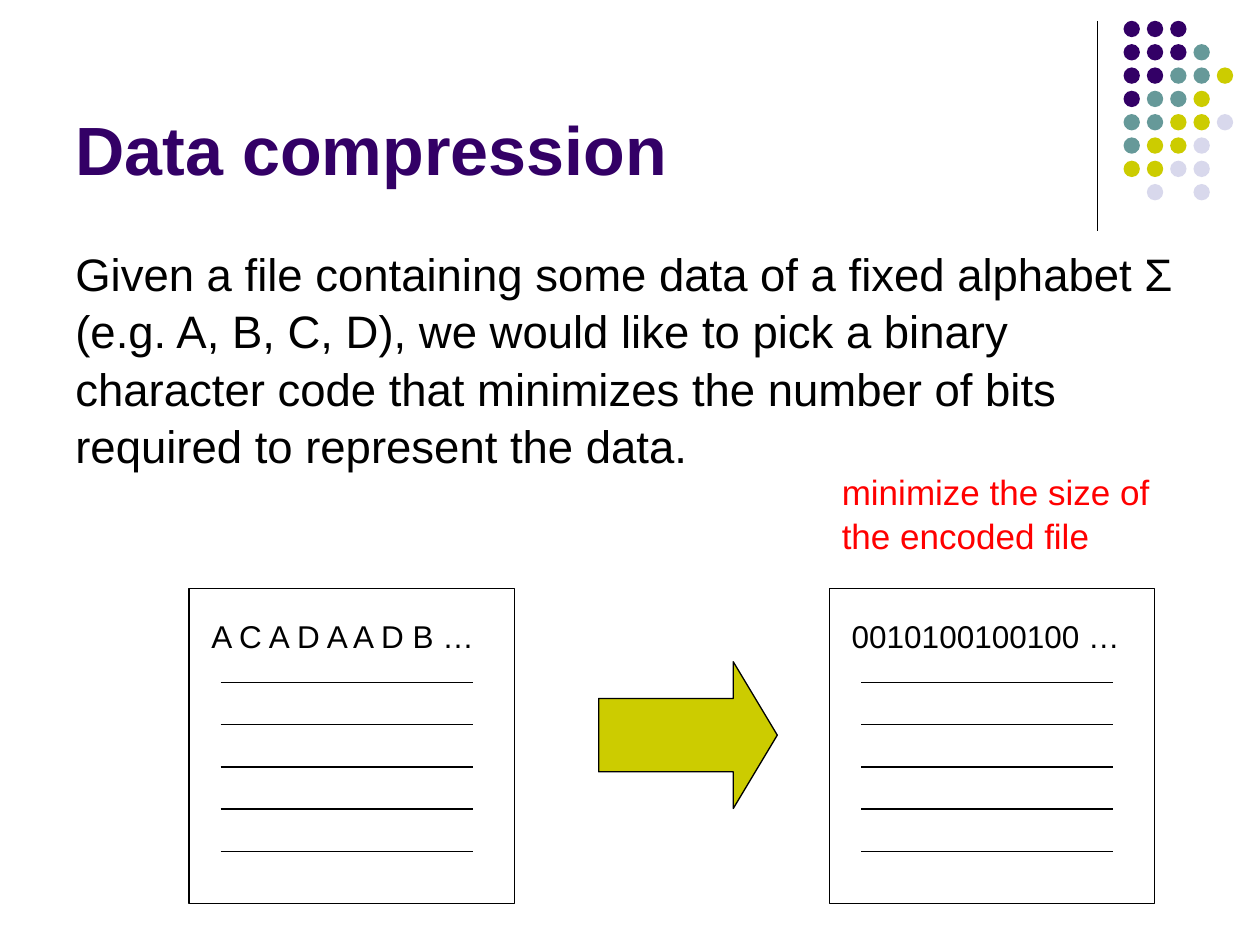
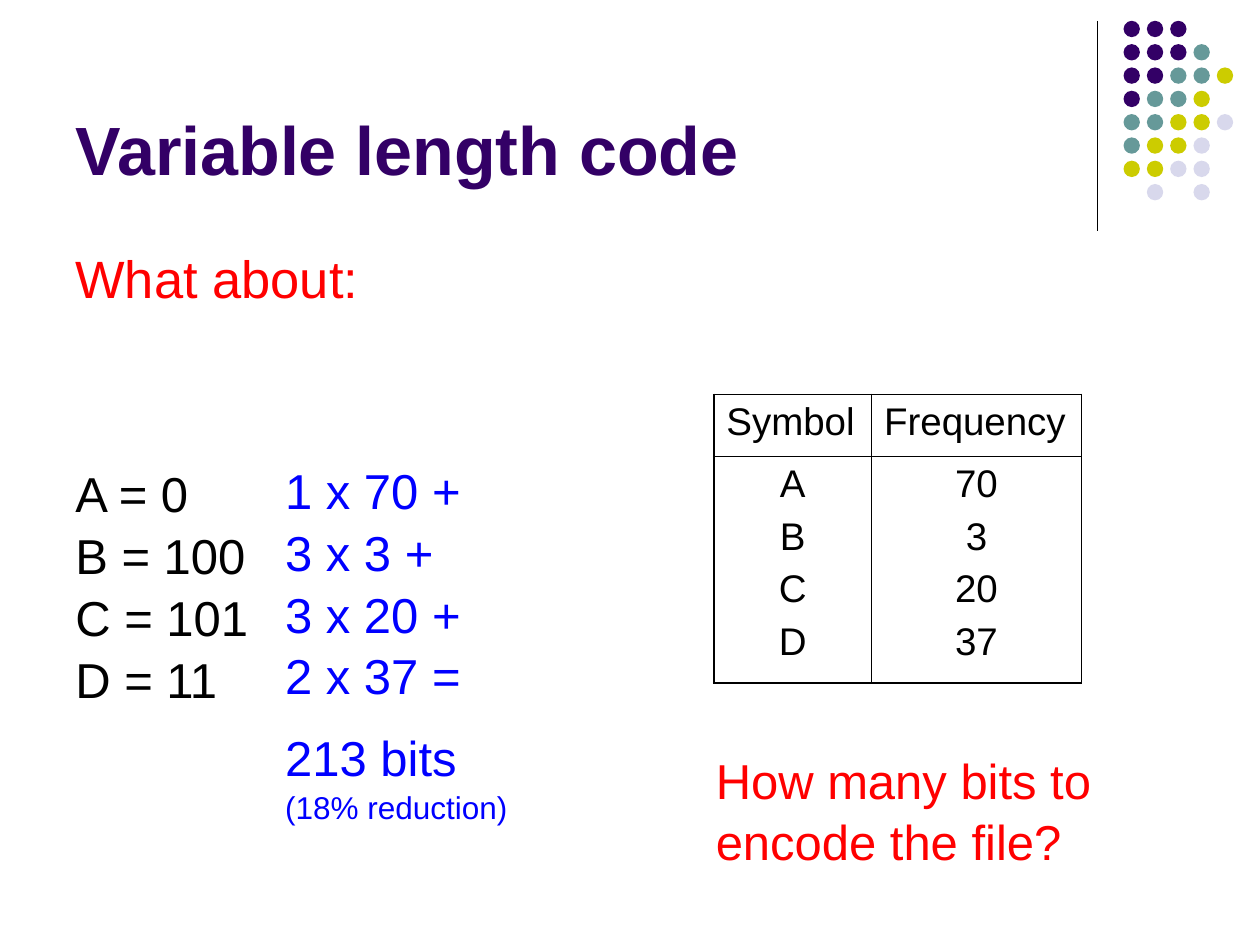
from lxml import etree
from pptx import Presentation
from pptx.dml.color import RGBColor
from pptx.enum.shapes import MSO_CONNECTOR, MSO_SHAPE
from pptx.enum.text import MSO_ANCHOR, PP_ALIGN
from pptx.oxml.ns import qn
from pptx.util import Cm, Pt

LEFT, CENTER = PP_ALIGN.LEFT, PP_ALIGN.CENTER
TOP, BOTTOM = MSO_ANCHOR.TOP, MSO_ANCHOR.BOTTOM
OVAL, RECT, ARROW = MSO_SHAPE.OVAL, MSO_SHAPE.RECTANGLE, MSO_SHAPE.RIGHT_ARROW
STRAIGHT = MSO_CONNECTOR.STRAIGHT

FONT = "Arial"
BLACK, RED, BLUE = "000000", "FF0000", "0000FF"
PURPLE, TEAL, OLIVE, LILAC = "330066", "669999", "CCCC00", "D8D8EC"

DOT_COLORS = {"P": PURPLE, "T": TEAL, "O": OLIVE, "L": LILAC}
DOT_ROWS = ["PPP", "PPPT", "PPTTO", "PTTO", "TTOOL", "TOOL", "OOLL", " L L"]
DOT_LEFT, DOT_TOP, DOT_PITCH, DOT_SIZE = 22.65, 0.42, 0.47, 0.33

PROBLEM = ("Given a file containing some data of a fixed alphabet Σ (e.g. A, B, C, D), "
           "we would like to pick a binary character code that minimizes the number "
           "of bits required to represent the data.")
GOAL = "minimize the size of the encoded file"
FILES = [(3.81, "A C A D A A D B …"), (16.72, "0010100100100 …")]
FILE_TOP, FILE_LINES, LINE_STEP = 11.86, 5, 0.85

CODES = ["A = 0", "B = 100", "C = 101", "D = 11"]
COSTS = ["1 x 70 +", "3 x 3 +", "3 x 20 +", "2 x 37 ="]
TOTAL, SAVING = "213 bits", "(18% reduction)"
FREQUENCIES = [
    [["Symbol"], ["Frequency"]],
    [["A", "B", "C", "D"], ["70", "3", "20", "37"]],
]
COLUMN_WIDTHS, ROW_HEIGHTS = [3.18, 4.23], [1.25, 4.57]
OUTER, INNER = 1.08, 0.45


def rgb(color):
    return RGBColor.from_string(color)


def write(tf, lines, size, color=BLACK, bold=False, align=LEFT, gap=0, spacing=1.05):
    started = bool(tf.text)
    for i, line in enumerate(lines):
        first = i == 0 and not started
        p = tf.paragraphs[0] if first else tf.add_paragraph()
        p.alignment = align
        p.line_spacing = spacing
        p.space_before = Pt(0 if first else gap)
        r = p.add_run()
        r.text = line
        r.font.name, r.font.size, r.font.bold = FONT, Pt(size), bold
        r.font.color.rgb = rgb(color)


def add_text(shapes, box, lines, size, anchor=TOP, **fmt):
    tf = shapes.add_textbox(*map(Cm, box)).text_frame
    tf.word_wrap = True
    tf.vertical_anchor = anchor
    write(tf, lines, size, **fmt)
    return tf


def add_shape(shapes, kind, box, fill=None, line=None):
    sp = shapes.add_shape(kind, *map(Cm, box))
    sp.shadow.inherit = False
    if fill:
        sp.fill.solid()
        sp.fill.fore_color.rgb = rgb(fill)
    else:
        sp.fill.background()
    if line:
        sp.line.color.rgb = rgb(line)
        sp.line.width = Pt(0.75)
    else:
        sp.line.fill.background()
    return sp


def add_line(shapes, x1, y1, x2, y2):
    c = shapes.add_connector(STRAIGHT, Cm(x1), Cm(y1), Cm(x2), Cm(y2))
    c.line.color.rgb = rgb(BLACK)
    c.line.width = Pt(0.75)
    etree.SubElement(c._element.spPr, qn("a:effectLst"))


def add_slide(prs, title):
    s = prs.slides.add_slide(prs.slide_layouts[6])
    add_line(s.shapes, 22.12, 0.42, 22.12, 4.66)
    dots = s.shapes.add_group_shape().shapes
    for row, keys in enumerate(DOT_ROWS):
        for col, key in enumerate(keys):
            if key in DOT_COLORS:
                x, y = DOT_LEFT + col * DOT_PITCH, DOT_TOP + row * DOT_PITCH
                add_shape(dots, OVAL, (x, y, DOT_SIZE, DOT_SIZE), DOT_COLORS[key])
    add_text(s.shapes, (1.27, 0.33, 20.96, 3.6), [title], 39,
             anchor=BOTTOM, color=PURPLE, bold=True, spacing=1)
    return s


def add_file(s, left, content):
    group = s.shapes.add_group_shape().shapes
    add_text(group, (left + 0.2, FILE_TOP + 0.42, 7.42, 1.02), [content], 18)
    add_shape(group, RECT, (left, FILE_TOP, 6.56, 6.35), line=BLACK)
    for i in range(FILE_LINES):
        y = FILE_TOP + 1.9 + i * LINE_STEP
        add_line(group, left + 0.64, y, left + 5.72, y)


def set_borders(cell, widths):
    tc_pr = cell._tc.get_or_add_tcPr()
    for i, (side, width) in enumerate(zip("LRTB", widths)):
        ln = etree.Element(qn(f"a:ln{side}"), w=str(Pt(width)))
        fill = etree.SubElement(ln, qn("a:solidFill"))
        etree.SubElement(fill, qn("a:srgbClr"), val=BLACK)
        tc_pr.insert(i, ln)


def add_frequency_table(s, left, top):
    rows, cols = len(ROW_HEIGHTS), len(COLUMN_WIDTHS)
    box = (left, top, sum(COLUMN_WIDTHS), sum(ROW_HEIGHTS))
    table = s.shapes.add_table(rows, cols, *map(Cm, box)).table
    table.first_row = table.horz_banding = False
    for column, width in zip(table.columns, COLUMN_WIDTHS):
        column.width = Cm(width)
    for row, height in zip(table.rows, ROW_HEIGHTS):
        row.height = Cm(height)
    for r, entries in enumerate(FREQUENCIES):
        for c, lines in enumerate(entries):
            cell = table.cell(r, c)
            cell.fill.background()
            edges = (c == 0, c == cols - 1, r == 0, r == rows - 1)
            set_borders(cell, [OUTER if edge else INNER for edge in edges])
            write(cell.text_frame, lines, 22, align=CENTER if r else LEFT,
                  gap=5.5, spacing=1)


def build_compression(prs):
    s = add_slide(prs, "Data compression")
    add_text(s.shapes, (1.27, 4.78, 22.86, 4.95), [PROBLEM], 26)
    for left, content in FILES:
        add_file(s, left, content)
    arrow = add_shape(s.shapes, ARROW, (12.07, 13.34, 3.6, 2.96), OLIVE, BLACK)
    arrow.adjustments[0], arrow.adjustments[1] = 0.5, 0.3
    add_text(s.shapes, (16.72, 9.31, 6.77, 1.96), [GOAL], 20, color=RED)


def build_variable_length(prs):
    s = add_slide(prs, "Variable length code")
    add_text(s.shapes, (1.27, 4.78, 22.86, 1.78), ["What about:"], 30, color=RED)
    add_text(s.shapes, (1.27, 9.17, 5.29, 5), CODES, 28)
    add_frequency_table(s, 14.39, 7.95)
    add_text(s.shapes, (14.18, 14.94, 8.47, 2.65),
             ["How many bits to encode the file?"], 28, color=RED)
    tf = add_text(s.shapes, (5.5, 9.1, 5.29, 7.33), COSTS, 28, color=BLUE)
    write(tf, [TOTAL], 28, color=BLUE, gap=11.2)
    write(tf, [SAVING], 18, color=BLUE)


def main():
    prs = Presentation()
    prs.slide_width, prs.slide_height = Cm(25.4), Cm(19.05)
    build_compression(prs)
    build_variable_length(prs)
    prs.save("out.pptx")


if __name__ == "__main__":
    main()
